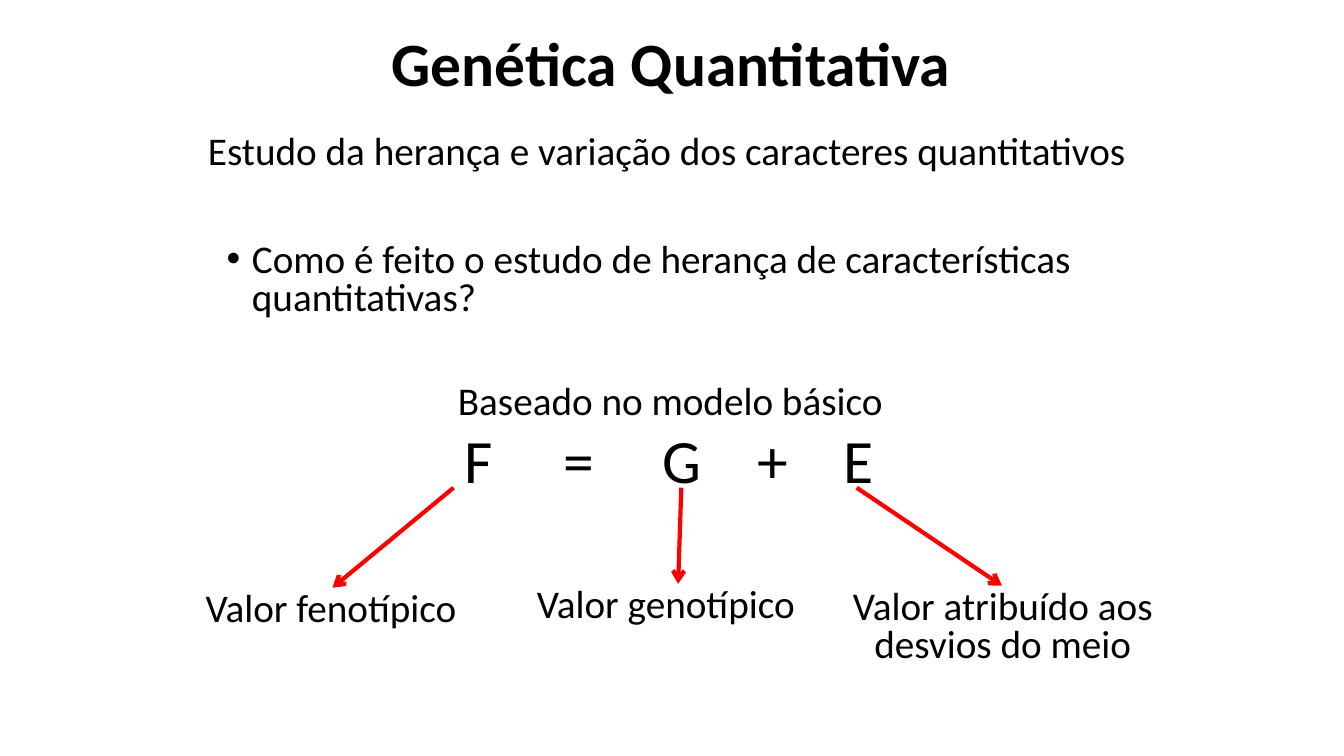
from lxml import etree
from pptx import Presentation
from pptx.dml.color import RGBColor
from pptx.enum.shapes import MSO_CONNECTOR
from pptx.enum.text import MSO_ANCHOR, MSO_AUTO_SIZE, PP_ALIGN
from pptx.oxml.ns import qn
from pptx.util import Cm, Pt

LEFT, CENTER = PP_ALIGN.LEFT, PP_ALIGN.CENTER
MIDDLE = MSO_ANCHOR.MIDDLE
FIT_SHAPE = MSO_AUTO_SIZE.SHAPE_TO_FIT_TEXT
STRAIGHT = MSO_CONNECTOR.STRAIGHT

# Content: lengths in cm, text sizes in points
COLORS = {"text": "000000", "arrow": "FF0000"}
FONT = "Calibri"
BIG, NORMAL = 44, 28

TITLE = "Genética Quantitativa"
SUBTITLE = "Estudo da herança e variação dos caracteres quantitativos"
QUESTION = "Como é feito o estudo de herança de características quantitativas?"
MODEL = "Baseado no modelo básico"
# Each symbol with the centre of its column, from the left of the text
FORMULA = [("F", 6.35), ("=", 8.87), ("G", 11.47), ("+", 13.76), ("E", 15.92)]

FORMULA_BOTTOM = 12.29
# Label lines, alignment, box, arrow start x, arrow end x
TERMS = [
    (["Valor fenotípico"], LEFT, (4.93, 14.81, 6.91, 1.24), 11.43, 8.38),
    (["Valor genotípico"], LEFT, (13.28, 14.71, 7.09, 1.24), 17.17, 17.09),
    (["Valor atribuído aos", "desvios do meio"], CENTER,
     (21.08, 14.76, 8.38, 2.18), 21.59, 25.25),
]


def add_box(slide, box, wrap=True):
    frame = slide.shapes.add_textbox(*map(Cm, box)).text_frame
    frame.word_wrap = wrap
    return frame


def write(paragraph, text, spacing, size=NORMAL, align=CENTER, before=0, bold=False):
    paragraph.text = text
    paragraph.alignment = align
    paragraph.line_spacing = spacing
    paragraph.space_before = Pt(before)
    font = paragraph.font
    font.name, font.size, font.bold = FONT, Pt(size), bold
    font.color.rgb = RGBColor.from_string(COLORS["text"])


def add_bullet(paragraph, indent):
    properties = paragraph._p.get_or_add_pPr()
    properties.set("marL", str(Cm(indent)))
    properties.set("indent", str(-Cm(indent)))
    etree.SubElement(properties, qn("a:buFont"), typeface="Arial")
    etree.SubElement(properties, qn("a:buChar"), char="•")


def add_center_tabs(paragraph, positions):
    tabs = etree.SubElement(paragraph._p.get_or_add_pPr(), qn("a:tabLst"))
    for position in positions:
        etree.SubElement(tabs, qn("a:tab"), pos=str(Cm(position)), algn="ctr")


def add_arrow(slide, start, end):
    arrow = slide.shapes.add_connector(STRAIGHT, *map(Cm, start + end))
    arrow.line.color.rgb = RGBColor.from_string(COLORS["arrow"])
    arrow.line.width = Pt(3)
    etree.SubElement(arrow.line._get_or_add_ln(), qn("a:tailEnd"), type="arrow")
    etree.SubElement(arrow._element.spPr, qn("a:effectLst"))


def main():
    prs = Presentation()
    prs.slide_width, prs.slide_height = Cm(33.87), Cm(19.05)
    slide = prs.slides.add_slide(prs.slide_layouts[6])

    # Title and subtitle
    title = add_box(slide, (5.97, -0.15, 21.89, 3.68))
    title.vertical_anchor = MIDDLE
    write(title.paragraphs[0], TITLE, 0.9, BIG, bold=True)
    subtitle = add_box(slide, (2.87, 3.18, 27.86, 12.09))
    write(subtitle.paragraphs[0], SUBTITLE, 0.9)

    # Question, then the basic model and its formula
    body = add_box(slide, (5.46, 6.02, 22.86, 12.57))
    question = body.paragraphs[0]
    add_bullet(question, 0.64)
    write(question, QUESTION, 0.8, align=LEFT)
    write(body.add_paragraph(), MODEL, 0.8, before=47)
    formula = body.add_paragraph()
    add_center_tabs(formula, [center for _, center in FORMULA])
    symbols = "".join("\t" + symbol for symbol, _ in FORMULA)
    write(formula, symbols, 0.8, BIG, LEFT, before=10)

    # Meaning of each term, with an arrow from the formula
    for lines, align, box, start_x, end_x in TERMS:
        label = add_box(slide, box, wrap=False)
        label.auto_size = FIT_SHAPE
        for number, line in enumerate(lines):
            paragraph = label.add_paragraph() if number else label.paragraphs[0]
            write(paragraph, line, 0.8, align=align)
        add_arrow(slide, (start_x, FORMULA_BOTTOM), (end_x, box[1]))

    prs.save("out.pptx")


if __name__ == "__main__":
    main()
